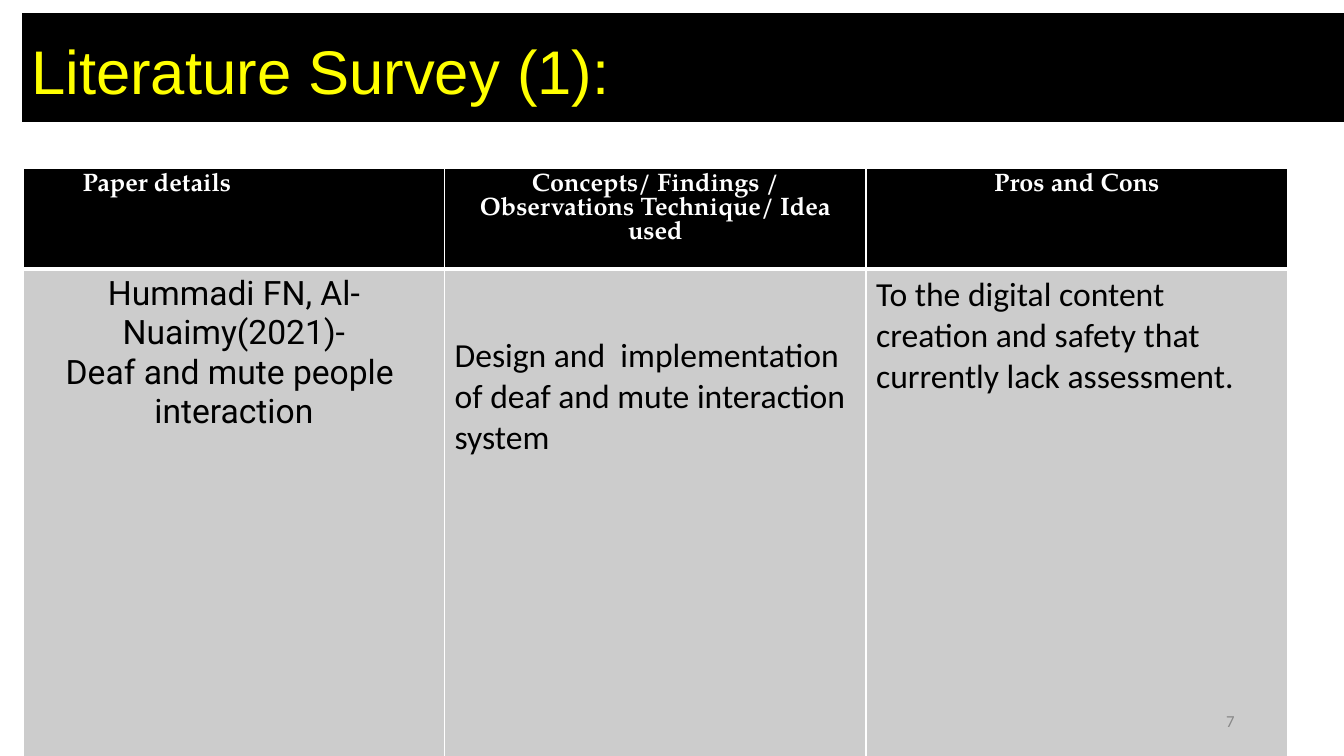
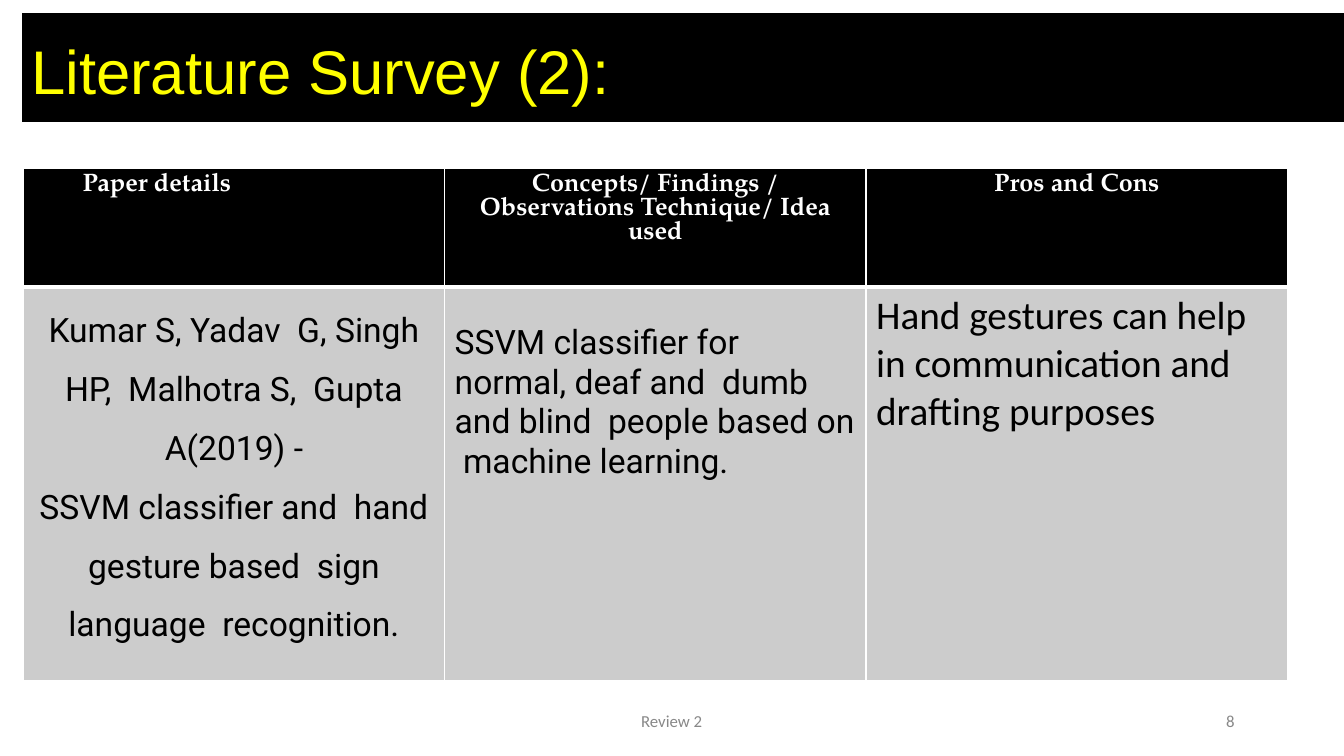
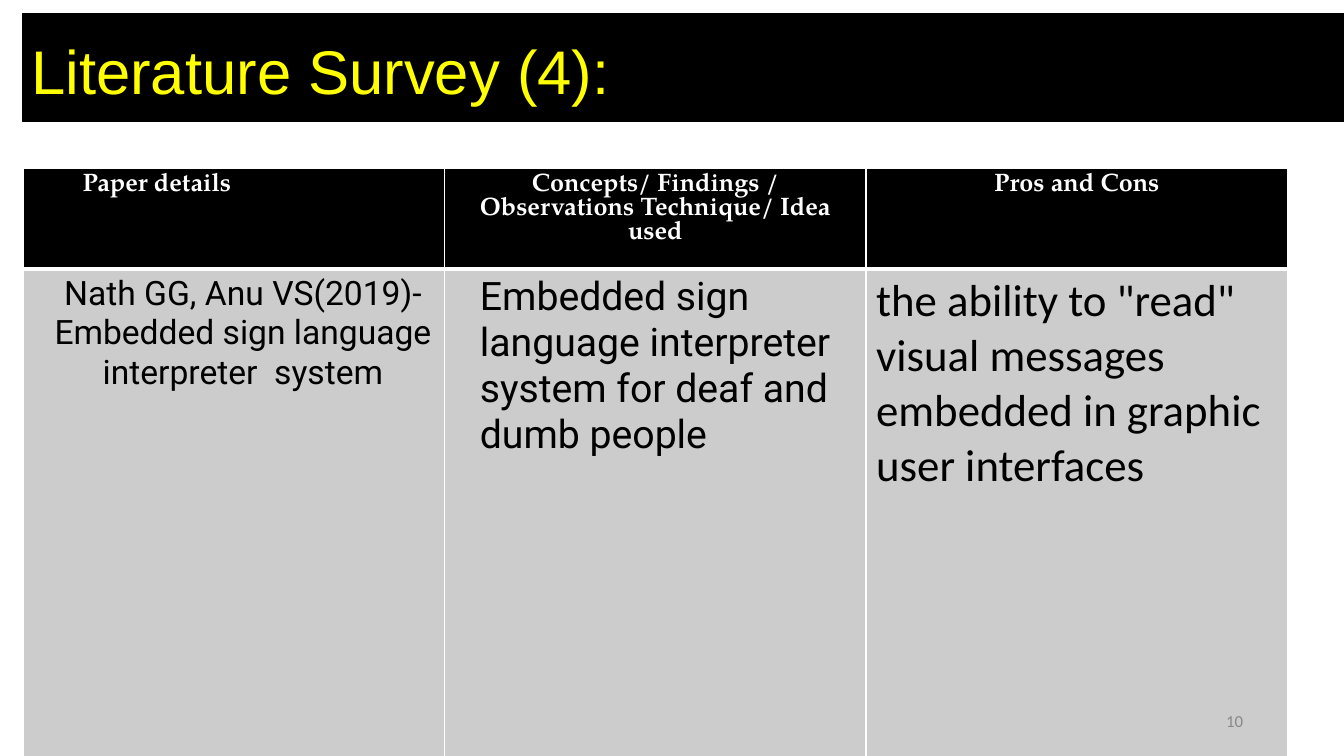
from lxml import etree
from pptx import Presentation
from pptx.dml.color import RGBColor
from pptx.enum.shapes import MSO_SHAPE
from pptx.enum.text import PP_ALIGN
from pptx.oxml.ns import qn
from pptx.util import Inches, Pt

RECTANGLE = MSO_SHAPE.RECTANGLE
LEFT, CENTER = PP_ALIGN.LEFT, PP_ALIGN.CENTER


class Theme:
    black = RGBColor(0x00, 0x00, 0x00)
    white = RGBColor(0xFF, 0xFF, 0xFF)
    yellow = RGBColor(0xFF, 0xFF, 0x00)
    body_fill = RGBColor(0xCC, 0xCC, 0xCC)
    footer_grey = RGBColor(0x88, 0x88, 0x88)
    title_font = "Arial"
    header_font = "TeX Gyre Pagella"
    paper_font = "Roboto"
    text_font = "Calibri"
    title_size = 44
    header_size = 18
    body_size = 24
    large_size = 28
    largest_size = 32
    footer_size = 12
    header_leading = 17.4
    paper_leading = 42
    footer_leading = 12.4
    thin_rule = 1
    thick_rule = 3


SLIDE_SIZE = (13.33, 7.5)
BAND = (0.22, 0.13, 13.11, 1.08)
TITLE = (0.3, 0.29, 12.07, 0.76)
FOOTER = (6.35, 7.08, 1.06, 0.19)
PAGE_NUMBER = (12.12, 7.08, 0.25, 0.19)
TABLE_LEFT, TABLE_TOP, COLUMN_WIDTH = 0.23, 1.67, 4.18
CELL_LEFT, CELL_TOP = 0.1, 0.05

HEADERS = [
    {"lines": ["Paper details"], "indent": 0.49},
    {"lines": ["Concepts/ Findings / Observations Technique/ Idea used"], "align": CENTER},
    {"lines": ["Pros and Cons"], "align": CENTER},
]

SURVEYS = [
    {
        "title": "Literature Survey (1):",
        "page": "7",
        "rows": (1.0, 4.84),
        "cells": [
            {"lines": ["Hummadi FN, Al-Nuaimy(2021)-", "Deaf and mute people ", "interaction"],
             "align": CENTER, "font": Theme.paper_font},
            {"lines": ["Design and  implementation of deaf and mute interaction system"],
             "drop": 0.61},
            {"lines": ["To the digital content creation and safety that currently lack assessment."]},
        ],
    },
    {
        "title": "Literature Survey (2):",
        "page": "8",
        "footer": "Review 2",
        "rows": (1.18, 3.9),
        "cells": [
            {"lines": ["Kumar S, Yadav  G, Singh HP,  Malhotra S,  Gupta A(2019) -",
                       "SSVM classifier and  hand gesture based  sign language  recognition."],
             "align": CENTER, "font": Theme.paper_font, "leading": Theme.paper_leading},
            {"lines": ["SSVM classifier for  normal, deaf and  dumb and blind  people based on  "
                       "machine learning."],
             "font": Theme.paper_font, "drop": 0.31},
            {"lines": ["Hand gestures can help in communication and drafting purposes"],
             "size": Theme.large_size},
        ],
    },
    {
        "title": "Literature Survey (4):",
        "page": "10",
        "rows": (1.0, 4.84),
        "cells": [
            {"lines": ["Nath GG, Anu VS(2019)-", "Embedded sign language interpreter  system"],
             "align": CENTER, "font": Theme.paper_font, "indent": 0.18},
            {"lines": ["Embedded sign language interpreter  system for deaf and dumb people"],
             "font": Theme.paper_font, "size": Theme.large_size, "indent": 0.25},
            {"lines": ['the ability to "read" visual messages embedded in graphic user interfaces'],
             "size": Theme.largest_size},
        ],
    },
]


def box(place):
    return [Inches(length) for length in place]


def write(frame, lines, font, size, color, bold=False, align=LEFT, leading=None):
    frame.text = "\n".join(lines)
    for paragraph in frame.paragraphs:
        paragraph.alignment = align
        if leading:
            paragraph.line_spacing = Pt(leading)
        for run in paragraph.runs:
            run.font.name = font
            run.font.size = Pt(size)
            run.font.bold = bold
            run.font.color.rgb = color


def add_label(slide, place, text, font, size, color, left=0.01, top=0, leading=None):
    frame = slide.shapes.add_textbox(*box(place)).text_frame
    frame.word_wrap = True
    frame.margin_left, frame.margin_top = Inches(left), Inches(top)
    frame.margin_right = frame.margin_bottom = 0
    write(frame, [text], font, size, color, leading=leading)


def add_footer(slide, place, text, left):
    add_label(slide, place, text, Theme.text_font, Theme.footer_size,
              Theme.footer_grey, left=left, leading=Theme.footer_leading)


def rule_cell(cell, top, bottom):
    properties = cell._tc.get_or_add_tcPr()
    widths = {"lnL": Theme.thin_rule, "lnR": Theme.thin_rule, "lnT": top, "lnB": bottom}
    for side, width in widths.items():
        line = etree.SubElement(properties, qn(f"a:{side}"), w=str(Pt(width)))
        fill = etree.SubElement(line, qn("a:solidFill"))
        etree.SubElement(fill, qn("a:srgbClr"), val=str(Theme.white))


def fill_cell(cell, content, is_header):
    if is_header:
        rule_cell(cell, Theme.thin_rule, Theme.thick_rule)
        style = {"font": Theme.header_font, "size": Theme.header_size, "color": Theme.white,
                 "bold": True, "leading": Theme.header_leading}
    else:
        rule_cell(cell, Theme.thick_rule, Theme.thin_rule)
        style = {"font": Theme.text_font, "size": Theme.body_size, "color": Theme.black}
    cell.fill.solid()
    cell.fill.fore_color.rgb = Theme.black if is_header else Theme.body_fill
    cell.margin_left = Inches(CELL_LEFT + content.get("indent", 0))
    cell.margin_top = Inches(CELL_TOP + content.get("drop", 0))
    style.update((key, value) for key, value in content.items() if key not in ("indent", "drop"))
    write(cell.text_frame, **style)


def add_survey_table(slide, survey):
    place = (TABLE_LEFT, TABLE_TOP, COLUMN_WIDTH * len(HEADERS), sum(survey["rows"]))
    table = slide.shapes.add_table(2, len(HEADERS), *box(place)).table
    for column in table.columns:
        column.width = Inches(COLUMN_WIDTH)
    for row_index, contents in enumerate((HEADERS, survey["cells"])):
        table.rows[row_index].height = Inches(survey["rows"][row_index])
        for column_index, content in enumerate(contents):
            fill_cell(table.cell(row_index, column_index), content, row_index == 0)


def add_survey_slide(deck, survey):
    slide = deck.slides.add_slide(deck.slide_layouts[6])
    band = slide.shapes.add_shape(RECTANGLE, *box(BAND))
    band.shadow.inherit = False
    band.fill.solid()
    band.fill.fore_color.rgb = Theme.black
    band.line.fill.background()
    add_label(slide, TITLE, survey["title"], Theme.title_font, Theme.title_size,
              Theme.yellow, top=0.04)
    add_survey_table(slide, survey)
    if "footer" in survey:
        add_footer(slide, FOOTER, survey["footer"], 0.01)
    add_footer(slide, PAGE_NUMBER, survey["page"], 0.04)


def main():
    deck = Presentation()
    deck.slide_width, deck.slide_height = box(SLIDE_SIZE)
    for survey in SURVEYS:
        add_survey_slide(deck, survey)
    deck.save("out.pptx")


if __name__ == "__main__":
    main()
